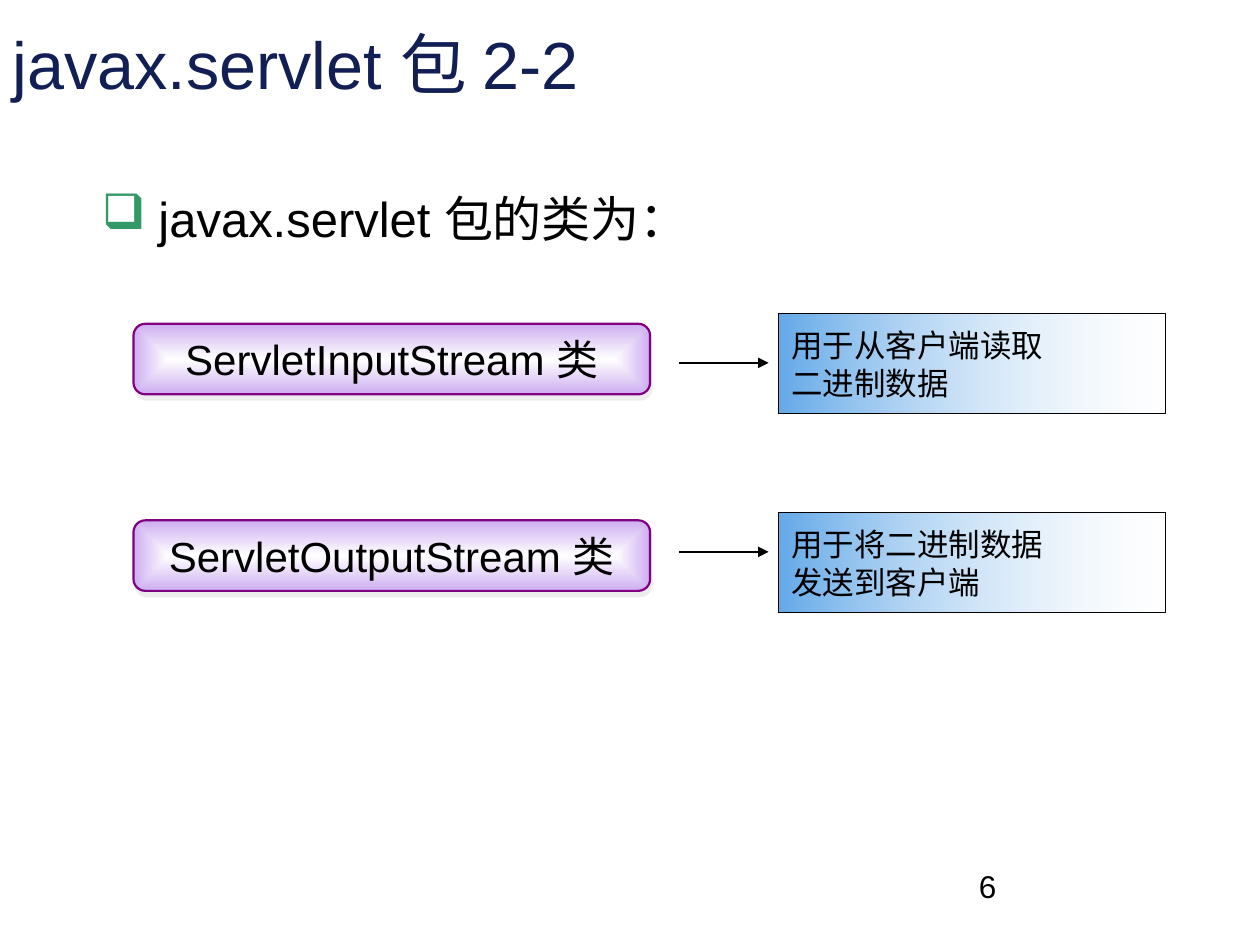
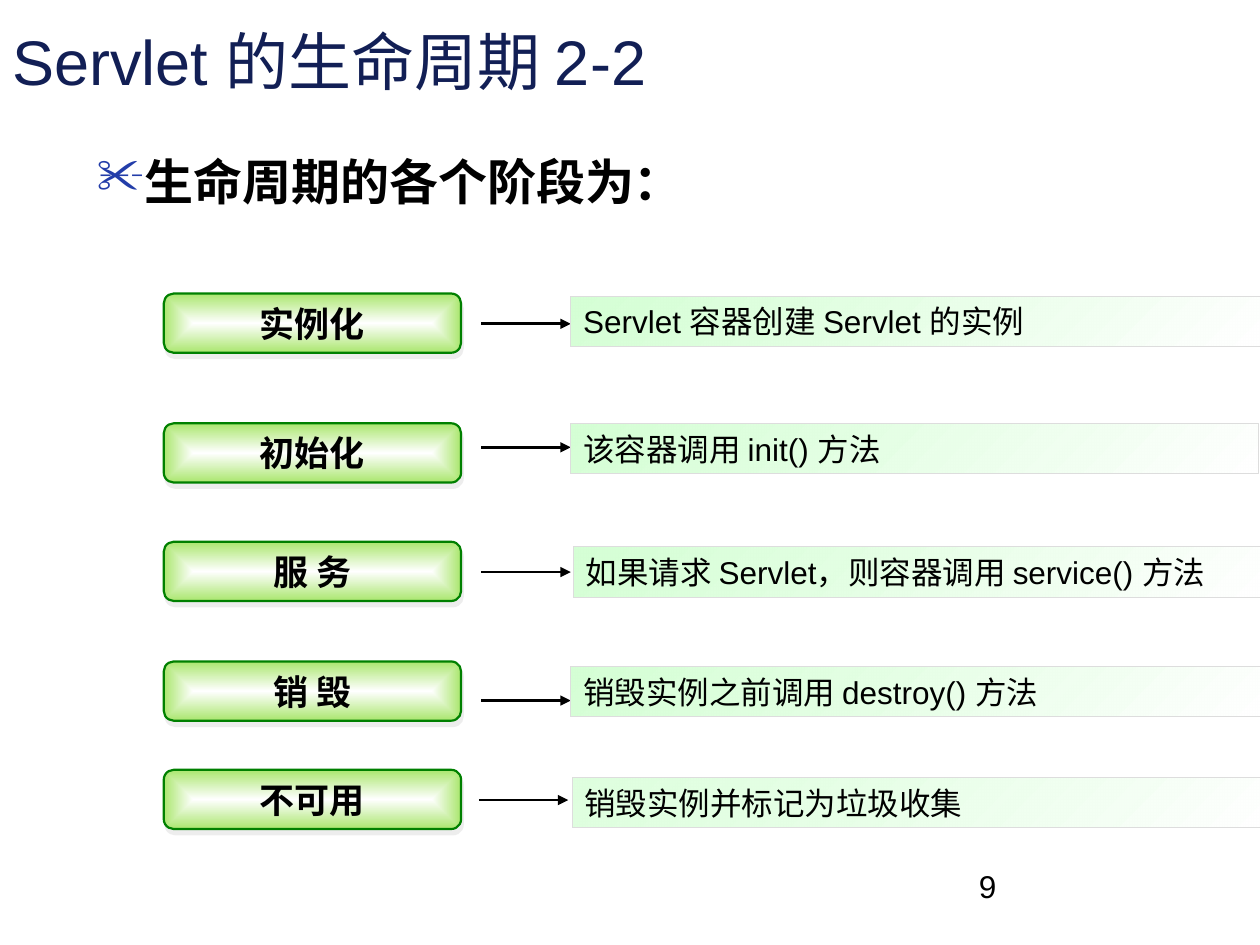
import pptx
import pptx.util
import pptx.dml.color
import pptx.enum.shapes
import pptx.enum.text
from dataclasses import dataclass
from lxml import etree
from pptx.oxml.ns import qn

SHAPE = pptx.enum.shapes.MSO_SHAPE
ALIGN = pptx.enum.text.PP_ALIGN
ANCHOR = pptx.enum.text.MSO_ANCHOR


@dataclass(frozen=True)
class Theme:
    font: str = "Arial"
    ink: str = "000000"
    title: str = "121F55"
    shade: str = "DDDDDD"
    white: str = "FFFFFF"
    head: int = 28
    body: int = 18
    edge: float = 1.25
    arrow: float = 1.5


THEME = Theme()
COLS, ROWS = 10, 7.5  # grid of one-inch cells
TITLE = (0, 0.13, COLS, 0.79)
NUMBER = (7.67, 6.83, 2.33, 0.5)
REACH = 0.71  # arrow length

# A row: label, note lines, label top, arrow row, arrow start,
# note (left, top, width), note opacity at the gradient's start
SLIDES = [
    dict(
        title="javax.servlet 包 2-2", size=38, number="6",
        head=dict(text="javax.servlet 包的类为：", box=(0.71, 1.45, 4.96, 0.57),
                  bullet="❑", tint="339966", indent=0.45, bold=False),
        label=dict(left=1.06, width=4.1, height=0.56, size=24, bold=False,
                   tint="CDADF1", edge="800080"),
        note=dict(height=0.79, tint="65AAE9", edge=THEME.ink, line=0.75,
                  angle=0, fade=26),
        rows=[
            ("ServletInputStream 类", ["用于从客户端读取", "二进制数据"],
             2.57, 2.88, 5.39, (6.18, 2.49, 3.07), 100),
            ("ServletOutputStream 类", ["用于将二进制数据", "发送到客户端"],
             4.13, 4.38, 5.39, (6.18, 4.07, 3.07), 100),
        ],
    ),
    dict(
        title="Servlet 的生命周期 2-2", size=36, number="9",
        head=dict(text="生命周期的各个阶段为：", box=(0.67, 1.15, 8.83, 0.6),
                  bullet="✂", tint="233DA9", indent=0.38, bold=True),
        label=dict(left=1.3, width=2.36, height=0.47, size=20, bold=True,
                   tint="AAE66E", edge="008000"),
        note=dict(height=0.4, tint="CCFFCC", edge=THEME.shade, line=0.5,
                  angle=45, fade=100),
        rows=[
            ("实例化", ["Servlet 容器创建 Servlet 的实例"],
             2.33, 2.57, 3.82, (4.53, 2.35, 5.48), 81),
            ("初始化", ["该容器调用 init() 方法"],
             3.36, 3.55, 3.82, (4.53, 3.36, 5.46), 81),
            ("服 务", ["如果请求 Servlet，则容器调用 service() 方法"],
             4.3, 4.54, 3.82, (4.55, 4.34, 5.47), 81),
            ("销 毁", ["销毁实例之前调用 destroy() 方法"],
             5.25, 5.56, 3.82, (4.53, 5.29, 5.51), 81),
            ("不可用", ["销毁实例并标记为垃圾收集"],
             6.11, 6.35, 3.8, (4.54, 6.17, 5.51), 62),
        ],
    ),
]


def cells(*spans):
    return [pptx.util.Inches(span) for span in spans]


def rgb(code):
    return pptx.dml.color.RGBColor.from_string(code)


def node(parent, tag, **attrs):
    return etree.SubElement(parent, qn("a:" + tag),
                            {key: str(val) for key, val in attrs.items()})


def tone(parent, code, alpha=100):
    color = node(parent, "srgbClr", val=code)
    if alpha < 100:
        node(color, "alpha", val=alpha * 1000)


def write(shape, lines, size=THEME.body, color=THEME.ink, bold=False,
          align=ALIGN.LEFT, anchor=ANCHOR.TOP, wrap=True,
          bullet=None, tint=None, indent=0):
    frame = shape.text_frame
    frame.word_wrap = wrap
    frame.vertical_anchor = anchor
    for i, line in enumerate(lines):
        para = frame.add_paragraph() if i else frame.paragraphs[0]
        para.alignment = align
        if bullet:
            props = para._p.get_or_add_pPr()
            shift = pptx.util.Inches(indent)
            props.set("marL", str(shift))
            props.set("indent", str(-shift))
            tone(node(props, "buClr"), tint)
            node(props, "buChar", char=bullet)
        run = para.add_run()
        run.text = line
        font = run.font
        font.name, font.size, font.bold = THEME.font, pptx.util.Pt(size), bold
        font.color.rgb = rgb(color)


def text(slide, box, line, **style):
    write(slide.shapes.add_textbox(*cells(*box)), [line], **style)


def block(slide, kind, box, stops, edge, width, angle=None):
    """Add a gradient shape; without an angle the gradient runs from the centre."""
    shape = slide.shapes.add_shape(kind, *cells(*box))
    fill = etree.Element(qn("a:gradFill"), rotWithShape="1")
    list_ = node(fill, "gsLst")
    for pos, (code, alpha) in zip((0, 100000), stops):
        tone(node(list_, "gs", pos=pos), code, alpha)
    if angle is None:
        node(node(fill, "path", path="rect"), "fillToRect",
             l=50000, t=50000, r=50000, b=50000)
    else:
        node(fill, "lin", ang=angle * 60000, scaled=0)
    shape._element.spPr.find(qn("a:prstGeom")).addnext(fill)
    shape.line.color.rgb = rgb(edge)
    shape.line.width = pptx.util.Pt(width)
    shape.shadow.inherit = False
    return shape


def label(slide, name, top, look):
    box = (look["left"], top, look["width"], look["height"])
    shape = block(slide, SHAPE.FLOWCHART_ALTERNATE_PROCESS, box,
                  [(THEME.white, 100), (look["tint"], 100)],
                  look["edge"], THEME.edge)
    effects = shape._element.spPr.find(qn("a:effectLst"))
    cast = node(effects, "outerShdw", blurRad=0, dist=pptx.util.Pt(3.2),
                dir=72 * 60000, algn="ctr", rotWithShape=0)
    tone(cast, THEME.shade, 50)
    write(shape, [name], size=look["size"], bold=look["bold"],
          align=ALIGN.CENTER, anchor=ANCHOR.MIDDLE, wrap=False)


def note(slide, lines, place, alpha, look):
    shape = block(slide, SHAPE.RECTANGLE, (*place, look["height"]),
                  [(look["tint"], alpha), (THEME.white, look["fade"])],
                  look["edge"], look["line"], look["angle"])
    write(shape, lines, anchor=ANCHOR.MIDDLE)


def arrow(slide, left, row):
    line = slide.shapes.add_connector(pptx.enum.shapes.MSO_CONNECTOR.STRAIGHT,
                                      *cells(left, row, left + REACH, row))
    line.line.color.rgb = rgb(THEME.ink)
    line.line.width = pptx.util.Pt(THEME.arrow)
    node(line.line._get_or_add_ln(), "tailEnd", type="triangle")
    node(line._element.spPr, "effectLst")


def build(deck, page):
    slide = deck.slides.add_slide(deck.slide_layouts[6])
    text(slide, TITLE, page["title"], size=page["size"], color=THEME.title)
    text(slide, NUMBER, page["number"])
    head = dict(page["head"])
    text(slide, head.pop("box"), head.pop("text"), size=THEME.head, **head)
    for name, lines, top, row, start, place, alpha in page["rows"]:
        label(slide, name, top, page["label"])
        arrow(slide, start, row)
        note(slide, lines, place, alpha, page["note"])


def main():
    deck = pptx.Presentation()
    deck.slide_width, deck.slide_height = cells(COLS, ROWS)
    for page in SLIDES:
        build(deck, page)
    deck.save("out.pptx")


if __name__ == "__main__":
    main()
